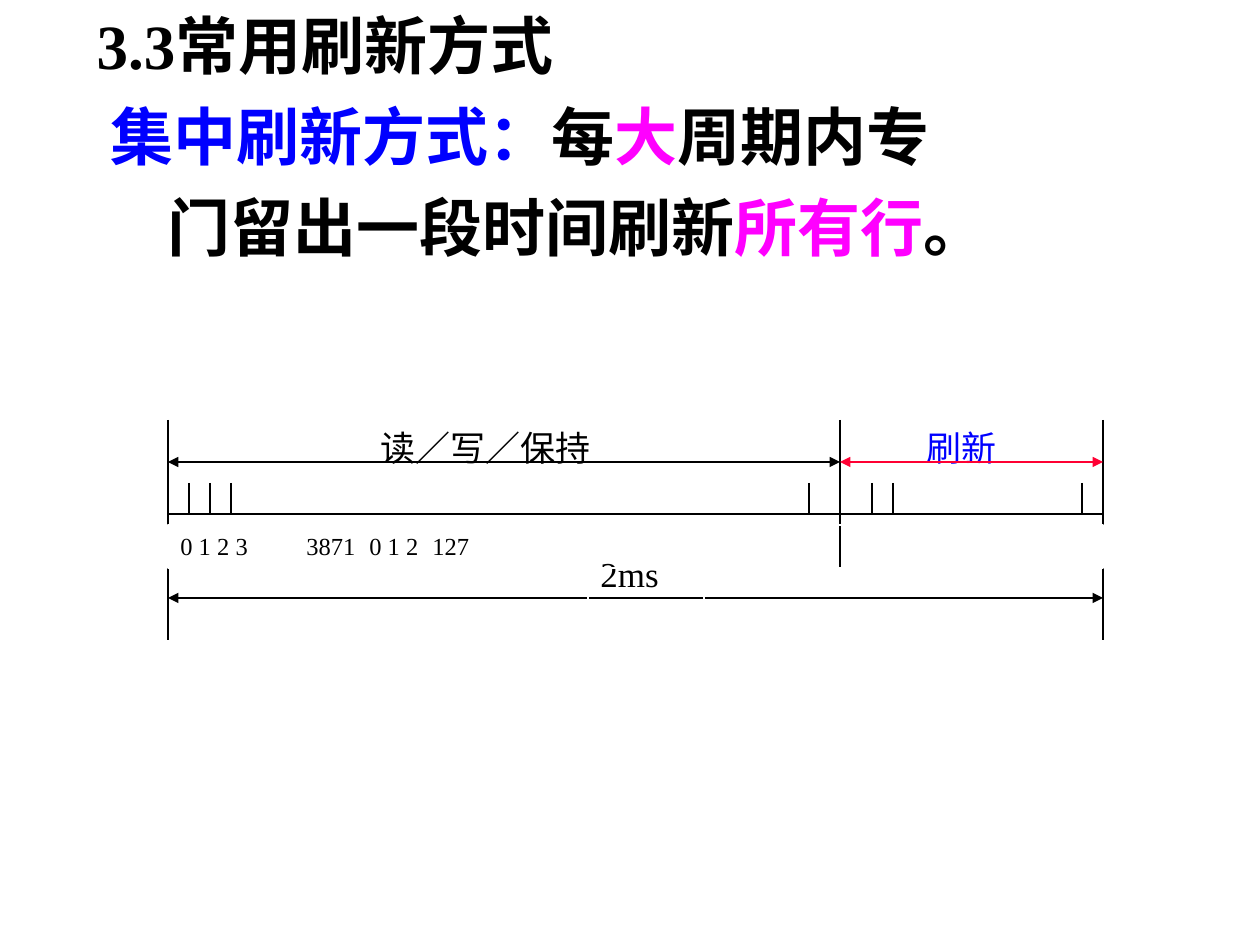
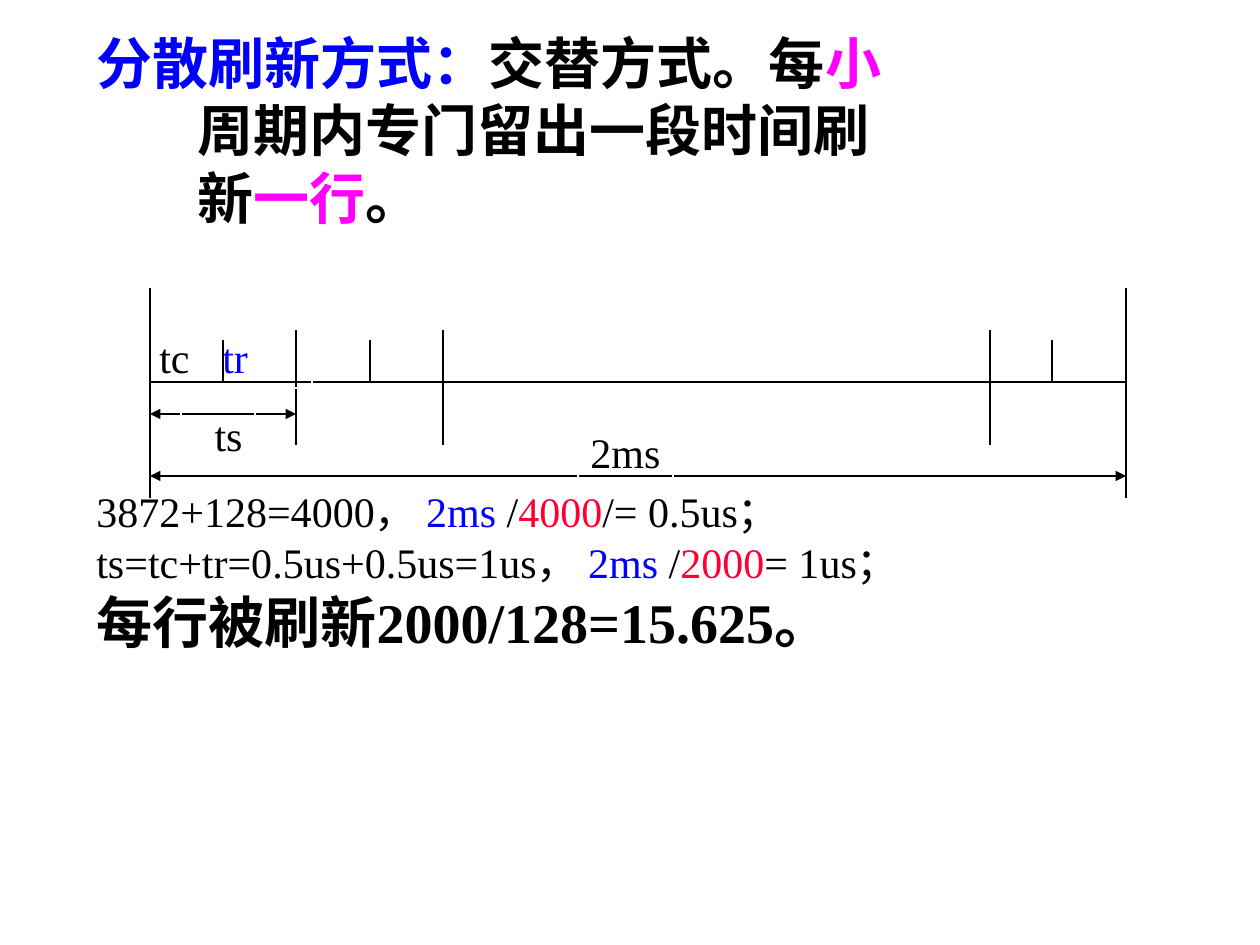
"""Build two slides on centralised and distributed memory refresh timing."""
from dataclasses import dataclass

import pptx
import pptx.dml.color
import pptx.enum.shapes
import pptx.enum.text
import pptx.oxml.ns
import pptx.util
from lxml import etree

EMU_PER_PX = 914400 / 126
FONT = "Times New Roman"
BLACK, WHITE, BLUE, PINK, RED = "000000", "FFFFFF", "0000FF", "FF00FF", "FF0033"
LEFT = pptx.enum.text.PP_ALIGN.LEFT
RIGHT = pptx.enum.text.PP_ALIGN.RIGHT
TEXT_LEFT, TEXT_WIDTH = 84, 1124


@dataclass(frozen=True)
class Line:
    x1: int
    y1: int
    x2: int
    y2: int
    color: str = BLACK
    arrows: bool = False


@dataclass(frozen=True)
class Span:
    text: str
    color: str = BLACK


@dataclass(frozen=True)
class Para:
    spans: tuple[Span, ...]
    size: int
    bold: bool = False
    indent: int = 0
    before: int = 0
    spacing: float = 1.0
    align: pptx.enum.text.PP_ALIGN = LEFT
    tabs: tuple[int, ...] = ()


@dataclass(frozen=True)
class Label:
    left: int
    top: int
    width: int
    height: int
    para: Para
    wrap: bool = True


def px(value: int) -> int:
    return round(value * EMU_PER_PX)


def rgb(color: str) -> pptx.dml.color.RGBColor:
    return pptx.dml.color.RGBColor.from_string(color)


def tag(name: str) -> str:
    return pptx.oxml.ns.qn(f"a:{name}")


def place(shape, left: int, top: int, width: int, height: int) -> None:
    shape.left, shape.top = px(left), px(top)
    shape.width, shape.height = px(width), px(height)


def add_span(para, text: str, *, size: int, color: str, bold: bool) -> None:
    run = para.add_run()
    run.text = text
    run.font.name = FONT
    run.font.size = pptx.util.Pt(size)
    run.font.bold = bold
    run.font.color.rgb = rgb(color)


def write(shape, paras: tuple[Para, ...], wrap: bool = True) -> None:
    frame = shape.text_frame
    frame.word_wrap = wrap
    frame.auto_size = pptx.enum.text.MSO_AUTO_SIZE.NONE
    frame.vertical_anchor = pptx.enum.text.MSO_ANCHOR.TOP
    for index, item in enumerate(paras):
        para = frame.add_paragraph() if index else frame.paragraphs[0]
        para.alignment = item.align
        para.line_spacing = item.spacing
        para.space_before = pptx.util.Pt(item.before if index else 0)
        properties = para._p.get_or_add_pPr()
        properties.set("marL", str(px(item.indent)))
        properties.set("indent", "0")
        if item.tabs:
            stops = etree.SubElement(properties, tag("tabLst"))
            for stop in item.tabs:
                etree.SubElement(stops, tag("tab"), pos=str(px(stop)), algn="l")
        for span in item.spans:
            add_span(para, span.text, size=item.size, color=span.color, bold=item.bold)


def add_text(page, top: int, height: int, paras: tuple[Para, ...]) -> None:
    box = page.shapes.add_textbox(0, 0, 0, 0)
    place(box, TEXT_LEFT, top, TEXT_WIDTH, height)
    write(box, paras)


def add_labels(page, labels: tuple[Label, ...]) -> None:
    for label in labels:
        box = page.shapes.add_textbox(0, 0, 0, 0)
        place(box, label.left, label.top, label.width, label.height)
        box.line.color.rgb = rgb(WHITE)
        box.line.width = pptx.util.Pt(0.75)
        write(box, (label.para,), label.wrap)


def add_lines(page, lines: tuple[Line, ...]) -> None:
    for line in lines:
        connector = page.shapes.add_connector(
            pptx.enum.shapes.MSO_CONNECTOR.STRAIGHT,
            px(line.x1), px(line.y1), px(line.x2), px(line.y2))
        connector.line.color.rgb = rgb(line.color)
        connector.line.width = pptx.util.Pt(0.75)
        if line.arrows:
            outline = connector.line._get_or_add_ln()
            for end in ("headEnd", "tailEnd"):
                etree.SubElement(outline, tag(end), type="triangle")
        etree.SubElement(connector._element.spPr, tag("effectLst"))


def verticals(xs: tuple[int, ...], top: int, bottom: int) -> tuple[Line, ...]:
    return tuple(Line(x, top, x, bottom) for x in xs)


def measure(x1: int, x2: int, y: int, color: str = BLACK) -> Line:
    return Line(x1, y, x2, y, color, arrows=True)


def build_centralised(deck) -> None:
    page = deck.slides.add_slide(deck.slide_layouts[5])
    title = page.shapes.title
    place(title, TEXT_LEFT, 0, TEXT_WIDTH, 91)
    write(title, (Para((Span("3.3常用刷新方式"),), 36, bold=True),))
    add_text(page, 91, 200, (
        Para((Span("集中刷新方式：", BLUE), Span("每"), Span("大", PINK),
              Span("周期内专")), 36, bold=True, indent=14),
        Para((Span("门留出一段时间刷新"), Span("所有行", PINK), Span("。")),
             36, bold=True, indent=71, before=9)))

    start, split, end, axis = 168, 840, 1103, 514
    add_lines(page, (Line(start, axis, end, axis),
                     *verticals((start, end), 420, 640),
                     *verticals((split,), 420, 567),
                     measure(start, end, 598)))
    add_labels(page, (
        Label(368, 420, 262, 55, Para((Span("读／写／保持"),), 20)),
        Label(914, 420, 116, 55, Para((Span("刷新", BLUE),), 20)),
        Label(588, 546, 116, 55, Para((Span("2ms"),), 20)),
        Label(start, 525, end - start, 43,
              Para((Span("0 1 2 3\t3871\t0 1 2\t127"),), 14, tabs=(612, 680, 869)))))
    add_lines(page, (*verticals((189, 210, 231, 809, 872, 893, 1082), 483, axis),
                     measure(start, split, 462), measure(split, end, 462, RED)))


def build_distributed(deck) -> None:
    page = deck.slides.add_slide(deck.slide_layouts[6])
    heading = dict(size=32, bold=True, before=8, spacing=0.8)
    formula = dict(size=24, before=6, spacing=0.8)
    add_text(page, 35, 210, (
        Para((Span("分散刷新方式：", BLUE), Span("交替方式。每"), Span("小", PINK)), **heading),
        Para((Span("周期内专门留出一段时间刷"),), indent=101, **heading),
        Para((Span("新"), Span("一行", PINK), Span("。")), indent=101, **heading)))
    add_text(page, 489, 180, (
        Para((Span("3872+128=4000， "), Span("2ms", BLUE), Span(" /"),
              Span("4000", RED), Span("/= 0.5us；")), **formula),
        Para((Span("ts=tc+tr=0.5us+0.5us=1us， "), Span("2ms", BLUE), Span(" /"),
              Span("2000", RED), Span("= 1us；")), **formula),
        Para((Span("每行被刷新2000/128=15.625。"),), **heading)))

    start, cycle, end, axis = 150, 296, 1126, 382
    add_lines(page, (Line(start, axis, end, axis),
                     *verticals((end,), 288, 498),
                     *verticals((cycle, 443, 990), 330, 445),
                     *verticals((223, 370, 1052), 340, axis),
                     measure(start, end, 476), measure(start, cycle, 414)))
    add_labels(page, (
        Label(578, 420, 95, 63, Para((Span("2ms"),), 24), wrap=False),
        Label(181, 403, 74, 63, Para((Span("ts"),), 24, align=RIGHT)),
        Label(147, 325, 165, 63,
              Para((Span("tc\t"), Span("tr", BLUE)), 24, tabs=(94,)))))
    add_lines(page, verticals((start,), 288, 498))


def main() -> None:
    deck = pptx.Presentation()
    deck.slide_width, deck.slide_height = px(1260), px(945)
    build_centralised(deck)
    build_distributed(deck)
    deck.save("out.pptx")


if __name__ == "__main__":
    main()
